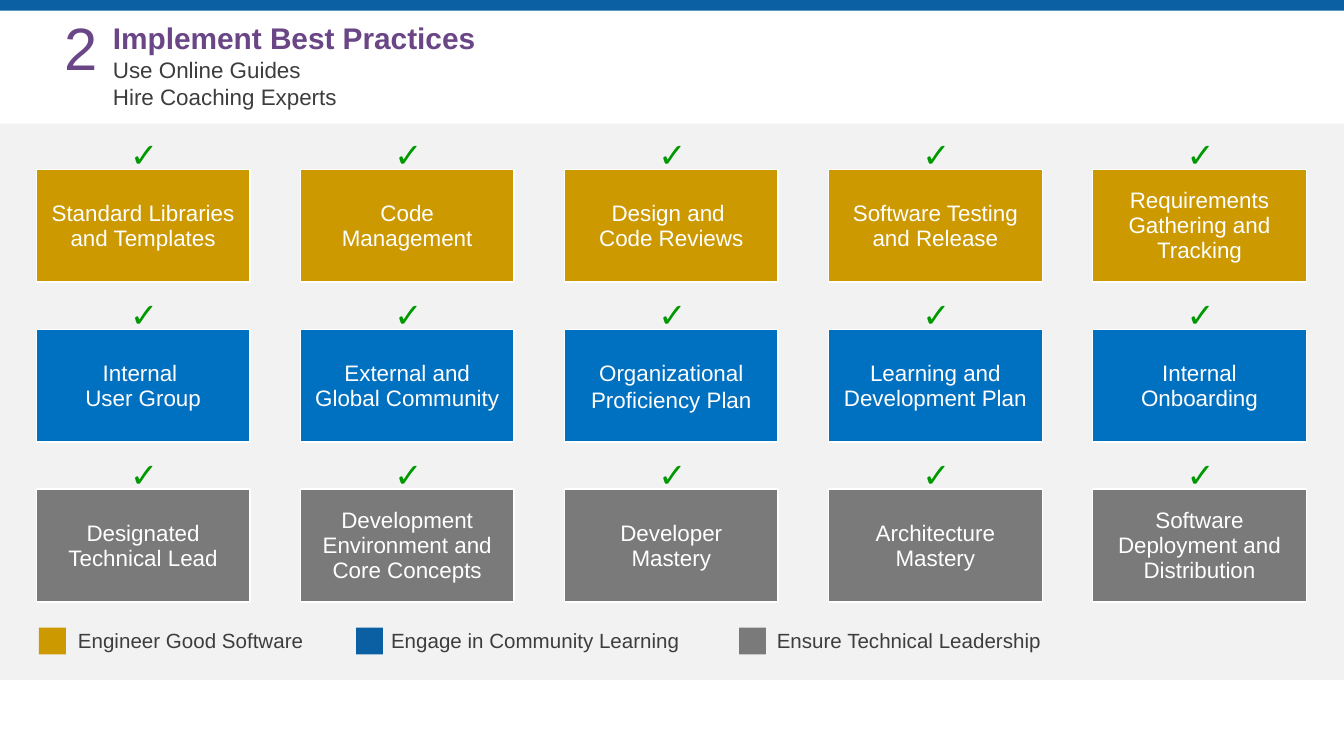
from dataclasses import dataclass

from pptx import Presentation
from pptx import util as u
from pptx.dml.color import RGBColor
from pptx.enum import shapes, text


@dataclass(frozen=True)
class Theme:
    font: str = "Arial"
    check_font: str = "Noto Sans"
    purple: str = "6A4686"
    ink: str = "3D3D3D"
    white: str = "FFFFFF"
    panel: str = "F2F2F2"
    navy: str = "0A60A3"
    gold: str = "CC9901"
    blue: str = "0070C0"
    gray: str = "7A7A7A"
    green: str = "009800"
    number_size: int = 32
    check_size: int = 18
    title_size: int = 16
    body_size: int = 12
    legend_size: int = 11
    card_leading: float = 13.4


THEME = Theme()

# Content
NUMBER = "2"
TITLE = "Implement Best Practices"
SUBTITLES = ["Use Online Guides", "Hire Coaching Experts"]
CHECK = "✓"
ROWS = [
    (THEME.gold, ["Standard Libraries and Templates", "Code Management",
                  "Design and \vCode Reviews", "Software Testing and Release",
                  "Requirements Gathering and Tracking"]),
    (THEME.blue, ["Internal \vUser Group", "External and Global Community",
                  "Organizational Proficiency Plan",
                  "Learning and Development Plan", "Internal Onboarding"]),
    (THEME.gray, ["Designated Technical Lead",
                  "Development Environment and Core Concepts",
                  "Developer Mastery", "Architecture Mastery",
                  "Software Deployment and Distribution"]),
]
SINGLE_SPACED = {"Organizational Proficiency Plan"}
# Swatch left, label left, label width, colour, label
LEGEND = [
    (0.29, 0.58, 1.89, THEME.gold, "Engineer Good Software"),
    (2.65, 2.91, 2.36, THEME.navy, "Engage in Community Learning"),
    (5.5, 5.78, 2.2, THEME.gray, "Ensure Technical Leadership"),
]

# Layout, in inches; the slide is 16:9
SLIDE_W = 10
SLIDE_H = SLIDE_W * 9 / 16
CARD_W, CARD_H = 1.59, 0.84
FIRST_LEFT, LAST_LEFT = 0.27, 8.13
FIRST_TOP, LAST_TOP = 1.26, 3.64
CHECK_DX, CHECK_DY = 0.6, -0.31


def add_rect(slide, left, top, width, height, fill, line=None):
    box = slide.shapes.add_shape(
        shapes.MSO_SHAPE.RECTANGLE, u.Inches(left), u.Inches(top),
        u.Inches(width), u.Inches(height))
    box.shadow.inherit = False
    box.fill.solid()
    box.fill.fore_color.rgb = RGBColor.from_string(fill)
    if line:
        box.line.color.rgb = RGBColor.from_string(line)
        box.line.width = u.Pt(0.75)
    else:
        box.line.fill.background()
    return box


def style(font, size, color, name=THEME.font, bold=False):
    font.name = name
    font.size = u.Pt(size)
    font.bold = bold
    font.color.rgb = RGBColor.from_string(color)


def write(paragraph, words, *look):
    paragraph.text = words
    style(paragraph.font, *look)


def add_frame(slide, left, top, width, height, inset_x=0.1, inset_y=0.05,
              wrap=True):
    box = slide.shapes.add_textbox(
        u.Inches(left), u.Inches(top), u.Inches(width), u.Inches(height))
    frame = box.text_frame
    frame.word_wrap = wrap
    frame.margin_left = frame.margin_right = u.Inches(inset_x)
    frame.margin_top = frame.margin_bottom = u.Inches(inset_y)
    return frame


def add_header(slide):
    add_rect(slide, 0, 0, SLIDE_W, 0.08, THEME.navy)
    frame = add_frame(slide, 0.79, 0.1, 6.99, 0.73, inset_x=0.05)
    # Title and first subtitle share a paragraph
    heading = frame.paragraphs[0]
    write(heading, f"{TITLE}\v{SUBTITLES[0]}", THEME.body_size, THEME.ink)
    style(heading.runs[0].font, THEME.title_size, THEME.purple, bold=True)
    write(frame.add_paragraph(), SUBTITLES[1], THEME.body_size, THEME.ink)

    frame = add_frame(slide, 0.43, 0.08, 0.35, 0.49, 0, 0, wrap=False)
    write(frame.paragraphs[0], NUMBER, THEME.number_size, THEME.purple)
    frame.paragraphs[0].alignment = text.PP_ALIGN.CENTER


def add_legend(slide):
    for swatch_left, label_left, width, color, label in LEGEND:
        frame = add_frame(slide, label_left, 4.62, width, 0.29, inset_x=0)
        write(frame.paragraphs[0], label, THEME.legend_size, THEME.ink)
        add_rect(slide, swatch_left, 4.67, 0.2, 0.2, color)


def add_card(slide, left, top, fill, label):
    card = add_rect(slide, left, top, CARD_W, CARD_H, fill, THEME.white)
    card.text_frame.vertical_anchor = text.MSO_ANCHOR.MIDDLE
    paragraph = card.text_frame.paragraphs[0]
    write(paragraph, label, THEME.body_size, THEME.white)
    paragraph.alignment = text.PP_ALIGN.CENTER
    if label not in SINGLE_SPACED:
        paragraph.line_spacing = u.Pt(THEME.card_leading)


def add_check(slide, left, top):
    frame = add_frame(slide, left, top, 0.39, 0.4, wrap=False)
    frame.auto_size = text.MSO_AUTO_SIZE.SHAPE_TO_FIT_TEXT
    write(frame.paragraphs[0], CHECK, THEME.check_size, THEME.green,
          THEME.check_font)


def add_grid(slide):
    row_step = (LAST_TOP - FIRST_TOP) / (len(ROWS) - 1)
    for row, (fill, labels) in enumerate(ROWS):
        top = FIRST_TOP + row * row_step
        column_step = (LAST_LEFT - FIRST_LEFT) / (len(labels) - 1)
        for column, label in enumerate(labels):
            left = FIRST_LEFT + column * column_step
            add_card(slide, left, top, fill, label)
            add_check(slide, left + CHECK_DX, top + CHECK_DY)


def main():
    deck = Presentation()
    deck.slide_width, deck.slide_height = u.Inches(SLIDE_W), u.Inches(SLIDE_H)
    slide = deck.slides.add_slide(deck.slide_layouts[6])
    add_header(slide)
    # Gray panel behind the practice grid and its legend
    add_rect(slide, 0, 0.92, SLIDE_W, 4.14, THEME.panel)
    add_legend(slide)
    add_grid(slide)
    deck.save("out.pptx")


if __name__ == "__main__":
    main()
